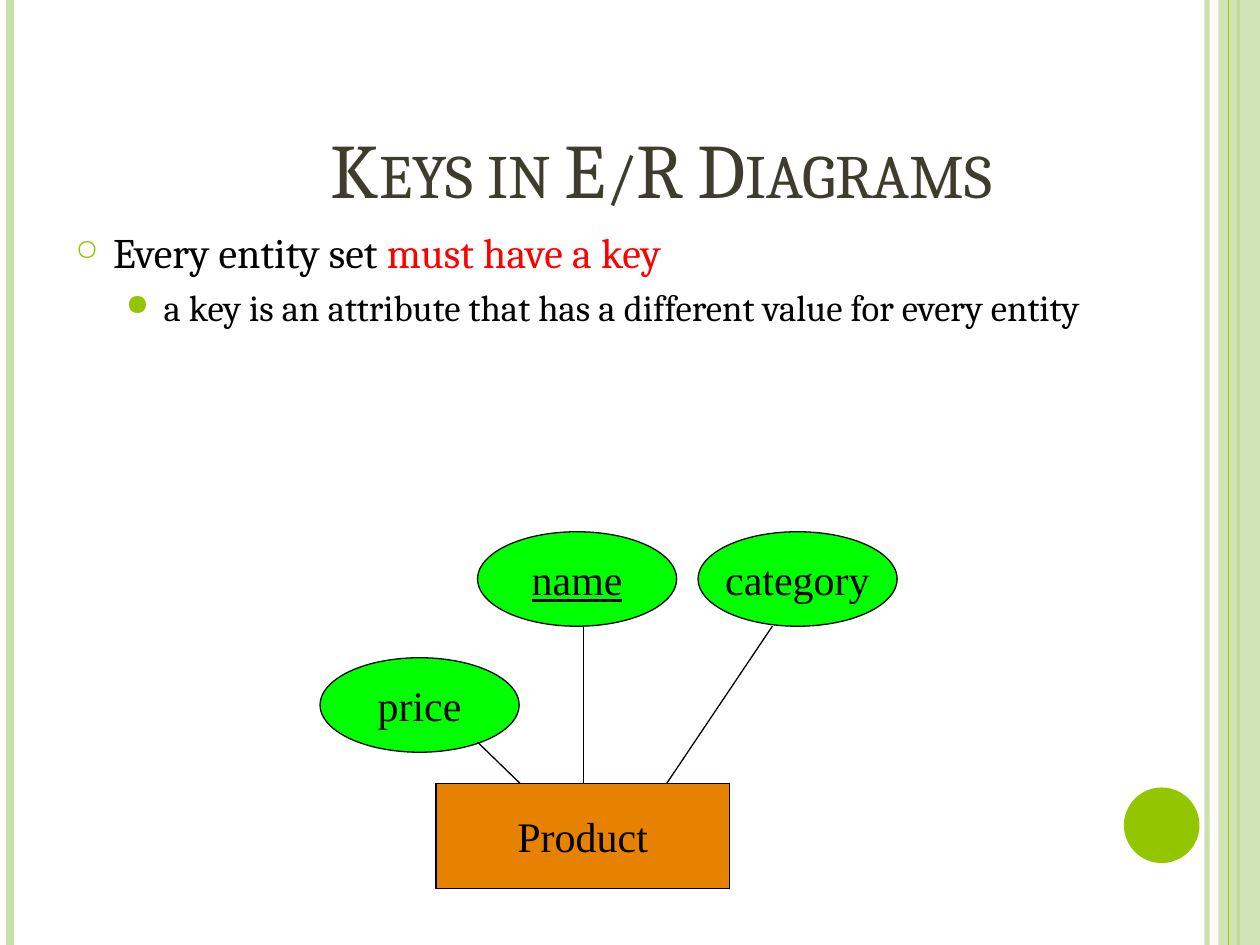
from typing import NamedTuple

from lxml import etree
from pptx import Presentation
from pptx.dml.color import RGBColor
from pptx.enum.shapes import MSO_CONNECTOR, MSO_SHAPE
from pptx.enum.text import MSO_ANCHOR, PP_ALIGN
from pptx.oxml.ns import qn
from pptx.util import Inches, Pt

STRAIGHT = MSO_CONNECTOR.STRAIGHT
RECTANGLE, OVAL = MSO_SHAPE.RECTANGLE, MSO_SHAPE.OVAL
MIDDLE, BOTTOM = MSO_ANCHOR.MIDDLE, MSO_ANCHOR.BOTTOM
CENTER = PP_ALIGN.CENTER

COLORS = {
    "pale": "C8DFAB", "lime": "94C600", "title": "3E3D2D", "black": "000000",
    "red": "FF0000", "entity": "E68200", "attribute": "00FF00",
}
HEADING_FONT, DIAGRAM_FONT = "Cambria", "Times New Roman"
SLIDE_HEIGHT = 7.5


class Line(NamedTuple):
    start: tuple
    end: tuple
    color: str = "black"
    width: float = 0.75
    opacity: int = 100


class Node(NamedTuple):
    text: str
    kind: int
    left: float
    top: float
    width: float
    height: float
    color: str
    underline: bool = False


class Bullet(NamedTuple):
    runs: tuple  # (text, color) pairs
    size: float
    symbol: str
    symbol_percent: int
    indent: float
    space_before: float


def vertical_rule(x: float, color: str, width: float, opacity: int = 100) -> Line:
    return Line((x, 0), (x, SLIDE_HEIGHT), color, width, opacity)


def attribute(text: str, left: float, top: float, underline: bool = False) -> Node:
    return Node(text, OVAL, left, top, 1.58, 0.75, "attribute", underline)


RULES_BEHIND_BAND = (
    vertical_rule(9.58, "pale", 3, 93),
    vertical_rule(0.08, "pale", 4.5),
    vertical_rule(9.83, "lime", 1.5),
)
RULE_ON_BAND = vertical_rule(9.75, "lime", 0.75)

BULLETS = (
    Bullet((("Every entity set ", "black"), ("must have a key", "red")),
           24, "○", 70, 0.3, 0),
    Bullet((("a key is an attribute that has a different value for every entity",
             "black"),), 21, "●", 80, 0.7, 4.5),
)
NODES = (
    Node("Product", RECTANGLE, 3.46, 6.22, 2.33, 0.83, "entity"),
    attribute("name", 3.79, 4.22, underline=True),
    attribute("category", 5.54, 4.22),
    attribute("price", 2.54, 5.22),
)
LINKS = (
    Line((4.13, 6.22), (3.79, 5.89)),
    Line((4.63, 6.22), (4.63, 4.97)),
    Line((5.29, 6.22), (6.13, 4.97)),
)


def rgb(name: str) -> RGBColor:
    return RGBColor.from_string(COLORS[name])


def style_font(font, name: str, size: float, color: str) -> None:
    font.name, font.size = name, Pt(size)
    font.color.rgb = rgb(color)


def set_opacity(element, percent: int) -> None:
    color = next(element.iter(qn("a:srgbClr")))
    etree.SubElement(color, qn("a:alpha"), val=str(percent * 1000))


def draw_line(slide, line: Line) -> None:
    points = [Inches(value) for value in (*line.start, *line.end)]
    connector = slide.shapes.add_connector(STRAIGHT, *points)
    connector.line.color.rgb = rgb(line.color)
    connector.line.width = Pt(line.width)
    properties = connector.line._ln.getparent()
    if line.opacity < 100:
        set_opacity(properties, line.opacity)
    etree.SubElement(properties, qn("a:effectLst"))


def draw_shape(slide, kind: int, box: tuple, color: str):
    shape = slide.shapes.add_shape(kind, *map(Inches, box))
    shape.shadow.inherit = False
    shape.fill.solid()
    shape.fill.fore_color.rgb = rgb(color)
    shape.line.fill.background()
    return shape


def draw_node(slide, node: Node) -> None:
    box = (node.left, node.top, node.width, node.height)
    shape = draw_shape(slide, node.kind, box, node.color)
    shape.line.color.rgb = rgb("black")
    shape.line.width = Pt(0.75)
    text_frame = shape.text_frame
    text_frame.text = node.text
    text_frame.word_wrap = False
    text_frame.vertical_anchor = MIDDLE
    paragraph = text_frame.paragraphs[0]
    paragraph.alignment = CENTER
    font = paragraph.runs[0].font
    style_font(font, DIAGRAM_FONT, 24, "black")
    if node.underline:
        font.underline = True


def add_text_frame(slide, box: tuple):
    text_frame = slide.shapes.add_textbox(*map(Inches, box)).text_frame
    text_frame.word_wrap = True
    return text_frame


def write_bullet(paragraph, bullet: Bullet) -> None:
    properties = paragraph._p.get_or_add_pPr()
    properties.set("marL", str(Inches(bullet.indent)))
    properties.set("indent", str(Inches(-0.3)))
    color = etree.SubElement(properties, qn("a:buClr"))
    etree.SubElement(color, qn("a:srgbClr"), val=COLORS["lime"])
    etree.SubElement(properties, qn("a:buSzPct"), val=str(bullet.symbol_percent * 1000))
    etree.SubElement(properties, qn("a:buChar"), char=bullet.symbol)
    paragraph.space_before = Pt(bullet.space_before)
    for text, run_color in bullet.runs:
        run = paragraph.add_run()
        run.text = text
        style_font(run.font, HEADING_FONT, bullet.size, run_color)


def main() -> None:
    presentation = Presentation()
    presentation.slide_width = Inches(10)
    presentation.slide_height = Inches(SLIDE_HEIGHT)
    slide = presentation.slides.add_slide(presentation.slide_layouts[6])

    # Side decoration
    for rule in RULES_BEHIND_BAND:
        draw_line(slide, rule)
    band = draw_shape(slide, RECTANGLE, (9.67, 0, 0.33, SLIDE_HEIGHT), "pale")
    set_opacity(band.fill._xPr, 87)
    draw_line(slide, RULE_ON_BAND)
    draw_shape(slide, OVAL, (8.92, 6.25, 0.6, 0.6), "lime")

    # Title in small capitals
    title = add_text_frame(slide, (0.75, 0.5, 9, 1.25))
    title.text = "Keys in E/R Diagrams"
    title.vertical_anchor = BOTTOM
    title.paragraphs[0].alignment = CENTER
    title_run = title.paragraphs[0].runs[0]
    style_font(title_run.font, HEADING_FONT, 44, "title")
    title_run._r.get_or_add_rPr().set("cap", "small")

    # Bullets
    body = add_text_frame(slide, (0.5, 1.75, 8.17, 5.33))
    for index, bullet in enumerate(BULLETS):
        paragraph = body.add_paragraph() if index else body.paragraphs[0]
        paragraph.level = index
        write_bullet(paragraph, bullet)

    # Entity diagram
    for node in NODES:
        draw_node(slide, node)
    for link in LINKS:
        draw_line(slide, link)

    presentation.save("out.pptx")


if __name__ == "__main__":
    main()
